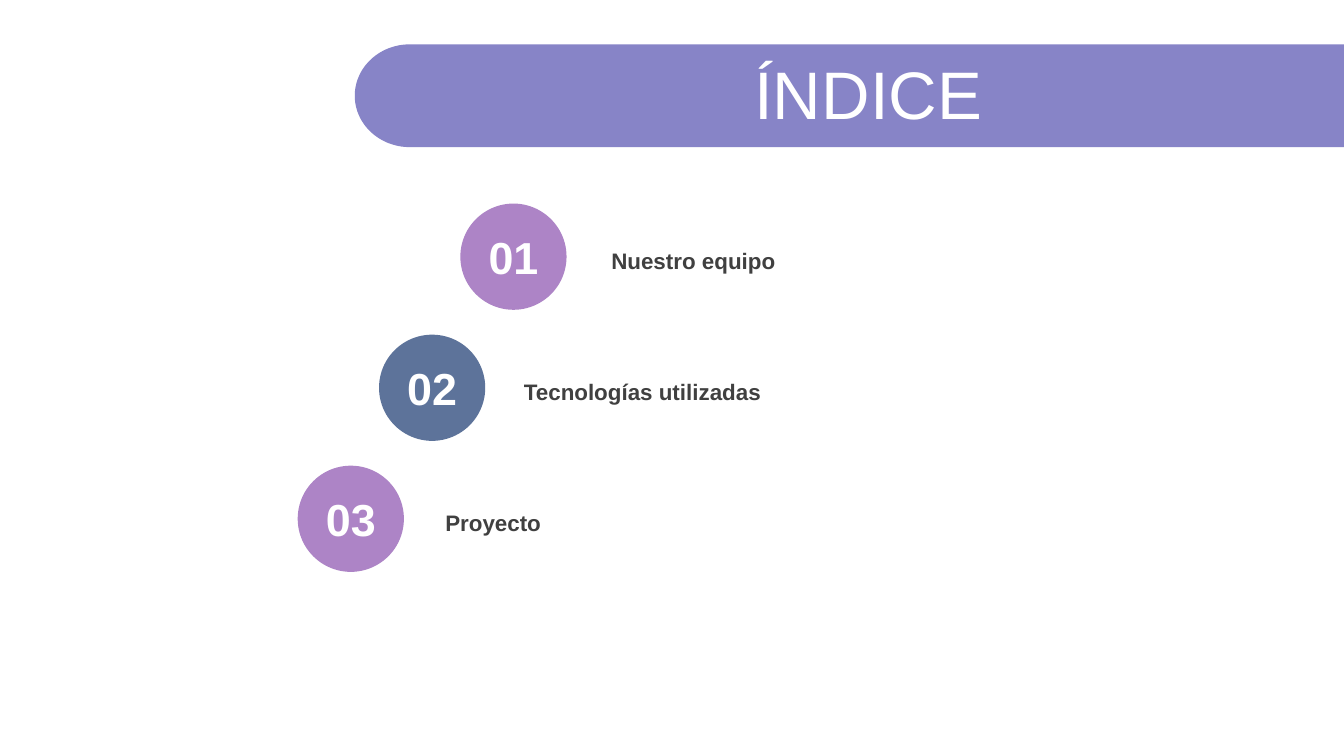
from dataclasses import dataclass
from math import cos, pi, sin

from pptx import Presentation
from pptx.dml.color import RGBColor
from pptx.enum.shapes import MSO_SHAPE
from pptx.enum.text import MSO_ANCHOR, MSO_AUTO_SIZE, PP_ALIGN
from pptx.shapes.autoshape import Shape
from pptx.slide import Slide
from pptx.util import Inches, Length, Pt


@dataclass(frozen=True)
class Theme:
    font: str = "Arial"
    banner: str = "8784C7"
    lilac: str = "AD84C6"
    slate: str = "5D739A"
    white: str = "FFFFFF"
    ink: str = "404040"
    title_size: int = 36
    number_size: int = 24
    label_size: int = 12


@dataclass(frozen=True)
class Box:
    column: float
    row: float
    columns: float
    rows: float

    def emu(self) -> tuple[Length, Length, Length, Length]:
        return (grid(self.column), grid(self.row),
                grid(self.columns), grid(self.rows))


@dataclass(frozen=True)
class TextStyle:
    size: int
    color: str
    bold: bool
    alignment: PP_ALIGN


@dataclass(frozen=True)
class IndexEntry:
    label: str
    color: str
    label_column: float


THEME = Theme()
GRID_COLUMNS, GRID_ROWS = 100, 56.25
BANNER = Box(26.4, 3.3, 73.6, 7.65)
BANNER_CAP = 4.1
TITLE = Box(30.6, 3.75, 69.4, 6.3)
FIRST_CIRCLE = Box(34.25, 15.15, 7.9, 7.9)
COLUMN_STEP, ROW_STEP = -6.05, 9.75
NUMBER_DROP, NUMBER_ROWS = 1.45, 5
LABEL_DROP, LABEL_COLUMNS, LABEL_ROWS = 2.75, 50.4, 3

TITLE_STYLE = TextStyle(THEME.title_size, THEME.white, False, PP_ALIGN.CENTER)
NUMBER_STYLE = TextStyle(THEME.number_size, THEME.white, True, PP_ALIGN.CENTER)
LABEL_STYLE = TextStyle(THEME.label_size, THEME.ink, True, PP_ALIGN.LEFT)

ENTRIES = (
    IndexEntry("Nuestro equipo", THEME.lilac, 44.5),
    IndexEntry("Tecnologías utilizadas", THEME.slate, 38),
    IndexEntry("Proyecto", THEME.lilac, 32.15),
)


def grid(units: float) -> Length:
    return Inches(units / 10)


def paint(shape: Shape, color: str) -> None:
    shape.shadow.inherit = False
    shape.fill.solid()
    shape.fill.fore_color.rgb = RGBColor.from_string(color)
    shape.line.fill.background()


def write(shape: Shape, text: str, style: TextStyle) -> None:
    frame = shape.text_frame
    frame.word_wrap = True
    frame.vertical_anchor = MSO_ANCHOR.MIDDLE
    paragraph = frame.paragraphs[0]
    paragraph.alignment = style.alignment
    run = paragraph.add_run()
    run.text = text
    run.font.name = THEME.font
    run.font.size = Pt(style.size)
    run.font.bold = style.bold
    run.font.color.rgb = RGBColor.from_string(style.color)


def add_text(slide: Slide, box: Box, text: str, style: TextStyle) -> None:
    text_box = slide.shapes.add_textbox(*box.emu())
    write(text_box, text, style)
    text_box.text_frame.auto_size = MSO_AUTO_SIZE.SHAPE_TO_FIT_TEXT


def add_banner(slide: Slide) -> Shape:
    right = BANNER.column + BANNER.columns
    radius = BANNER.rows / 2
    center_column = BANNER.column + BANNER_CAP
    center_row = BANNER.row + radius
    steps = 60
    angles = [pi / 2 + pi * step / steps for step in range(steps + 1)]
    cap = [(grid(center_column + BANNER_CAP * cos(angle)),
            grid(center_row + radius * sin(angle))) for angle in angles]
    builder = slide.shapes.build_freeform(grid(right), grid(BANNER.row))
    builder.add_line_segments(
        [(grid(right), grid(BANNER.row + BANNER.rows)), *cap], close=True)
    banner = builder.convert_to_shape()
    paint(banner, THEME.banner)
    return banner


def add_title(slide: Slide) -> None:
    title = slide.shapes.title
    title.left, title.top, title.width, title.height = TITLE.emu()
    write(title, "ÍNDICE ", TITLE_STYLE)
    title.text_frame.auto_size = MSO_AUTO_SIZE.NONE
    title.element.addprevious(add_banner(slide).element)


def add_entry(slide: Slide, position: int, entry: IndexEntry) -> None:
    column = FIRST_CIRCLE.column + position * COLUMN_STEP
    row = FIRST_CIRCLE.row + position * ROW_STEP
    diameter = FIRST_CIRCLE.columns
    circle_box = Box(column, row, diameter, diameter)
    circle = slide.shapes.add_shape(MSO_SHAPE.OVAL, *circle_box.emu())
    paint(circle, entry.color)
    number_box = Box(column, row + NUMBER_DROP, diameter, NUMBER_ROWS)
    add_text(slide, number_box, f"{position + 1:02}", NUMBER_STYLE)
    label_box = Box(entry.label_column, row + LABEL_DROP,
                    LABEL_COLUMNS, LABEL_ROWS)
    add_text(slide, label_box, entry.label, LABEL_STYLE)


def main() -> None:
    presentation = Presentation()
    presentation.slide_width = grid(GRID_COLUMNS)
    presentation.slide_height = grid(GRID_ROWS)
    slide = presentation.slides.add_slide(presentation.slide_layouts[5])
    slide.background.fill.solid()
    slide.background.fill.fore_color.rgb = RGBColor.from_string(THEME.white)
    add_title(slide)
    for position, entry in enumerate(ENTRIES):
        add_entry(slide, position, entry)
    presentation.save("out.pptx")


if __name__ == "__main__":
    main()
